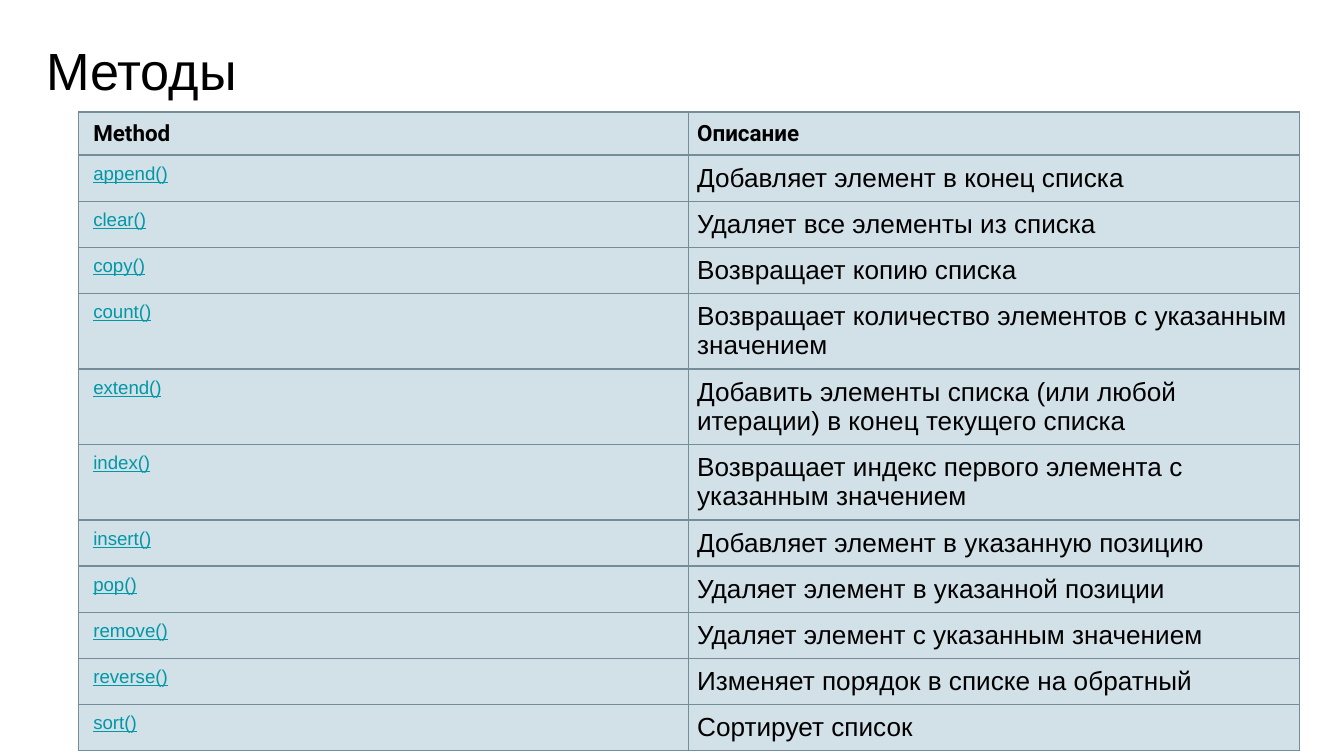
from dataclasses import dataclass

from lxml import etree
from pptx import Presentation
from pptx.dml.color import RGBColor
from pptx.enum.text import MSO_ANCHOR, MSO_AUTO_SIZE, PP_ALIGN
from pptx.oxml.ns import qn
from pptx.util import Pt

TOP, LEFT, NO_FIT = MSO_ANCHOR.TOP, PP_ALIGN.LEFT, MSO_AUTO_SIZE.NONE


@dataclass(frozen=True)
class Theme:
    ink: str = "000000"
    link: str = "0097A7"
    fill: str = "D2E0E7"
    rule: str = "748D99"
    rule_width: float = 0.75
    body: str = "Arial"
    head: str = "Roboto"
    title_size: int = 28
    head_size: int = 12
    name_size: int = 10
    text_size: int = 14


THEME = Theme()
TITLE = dict(name=THEME.body, size=Pt(THEME.title_size), bold=False)
HEAD = dict(name=THEME.head, size=Pt(THEME.head_size), bold=True)
NAME = dict(name=THEME.body, size=Pt(THEME.name_size), bold=False, underline=True)
TEXT = dict(name=THEME.body, size=Pt(THEME.text_size), bold=False)

PAD, NAME_PAD = 4.5, 8
HEAD_ROW, ROW, TALL_ROW = 22, 23.8, 39.6
WRAP = 45  # longest description, in letters, that fits on one line

METHODS = [
    ("append()", "Добавляет элемент в конец списка"),
    ("clear()", "Удаляет все элементы из списка"),
    ("copy()", "Возвращает копию списка"),
    ("count()", "Возвращает количество элементов с указанным значением"),
    ("extend()", "Добавить элементы списка (или любой итерации) в конец текущего списка"),
    ("index()", "Возвращает индекс первого элемента с указанным значением"),
    ("insert()", "Добавляет элемент в указанную позицию"),
    ("pop()", "Удаляет элемент в указанной позиции"),
    ("remove()", "Удаляет элемент с указанным значением"),
    ("reverse()", "Изменяет порядок в списке на обратный"),
    ("sort()", "Сортирует список"),
]


def apply(item, values):
    for key, value in values.items():
        setattr(item, key, value)


def write(frame, text, style, color):
    para = frame.paragraphs[0]
    para.alignment = LEFT
    run = para.add_run()
    run.text = text
    apply(run.font, style)
    run.font.color.rgb = RGBColor.from_string(color)


def add_title(slide, box, text):
    title = slide.shapes.title
    apply(title, dict(zip(("left", "top", "width", "height"), map(Pt, box))))
    frame = title.text_frame
    apply(frame, dict(
        margin_left=Pt(7.2), margin_right=Pt(7.2),
        margin_top=Pt(7.2), margin_bottom=Pt(7.2),
        vertical_anchor=TOP, word_wrap=True, auto_size=NO_FIT))
    write(frame, text, TITLE, THEME.ink)


def add_rules(cell):
    """Draw the four borders of a cell; they must precede its fill."""
    props = cell._tc.get_or_add_tcPr()
    for pos, side in enumerate(("a:lnL", "a:lnR", "a:lnT", "a:lnB")):
        line = etree.Element(qn(side), w=str(Pt(THEME.rule_width)))
        fill = etree.SubElement(line, qn("a:solidFill"))
        etree.SubElement(fill, qn("a:srgbClr"), val=THEME.rule)
        props.insert(pos, line)


def fill_cell(cell, text, style, color, left):
    apply(cell, dict(
        margin_left=Pt(left), margin_right=Pt(PAD),
        margin_top=Pt(PAD), margin_bottom=Pt(PAD), vertical_anchor=TOP))
    cell.fill.solid()
    cell.fill.fore_color.rgb = RGBColor.from_string(THEME.fill)
    add_rules(cell)
    write(cell.text_frame, text, style, color)


def add_methods(slide, box, heads, methods):
    rows = [heads, *methods]
    tall = [HEAD_ROW] + [TALL_ROW if len(text) > WRAP else ROW for _, text in methods]
    left, top, width = box
    table = slide.shapes.add_table(
        len(rows), 2, Pt(left), Pt(top), Pt(width), Pt(sum(tall))).table
    for col in table.columns:
        col.width = Pt(width / 2)
    for pos, (name, text) in enumerate(rows):
        table.rows[pos].height = Pt(tall[pos])
        styles = (NAME, TEXT) if pos else (HEAD, HEAD)
        color = THEME.link if pos else THEME.ink
        fill_cell(table.cell(pos, 0), name, styles[0], color, NAME_PAD)
        fill_cell(table.cell(pos, 1), text, styles[1], THEME.ink, PAD)


def main():
    deck = Presentation()
    deck.slide_width, deck.slide_height = Pt(720), Pt(405)
    slide = deck.slides.add_slide(deck.slide_layouts[5])
    add_title(slide, (17.5, 13, 671, 45.5), "Методы")
    add_methods(slide, (42, 60, 654), ("Method", "Описание"), METHODS)
    deck.save("out.pptx")


if __name__ == "__main__":
    main()
